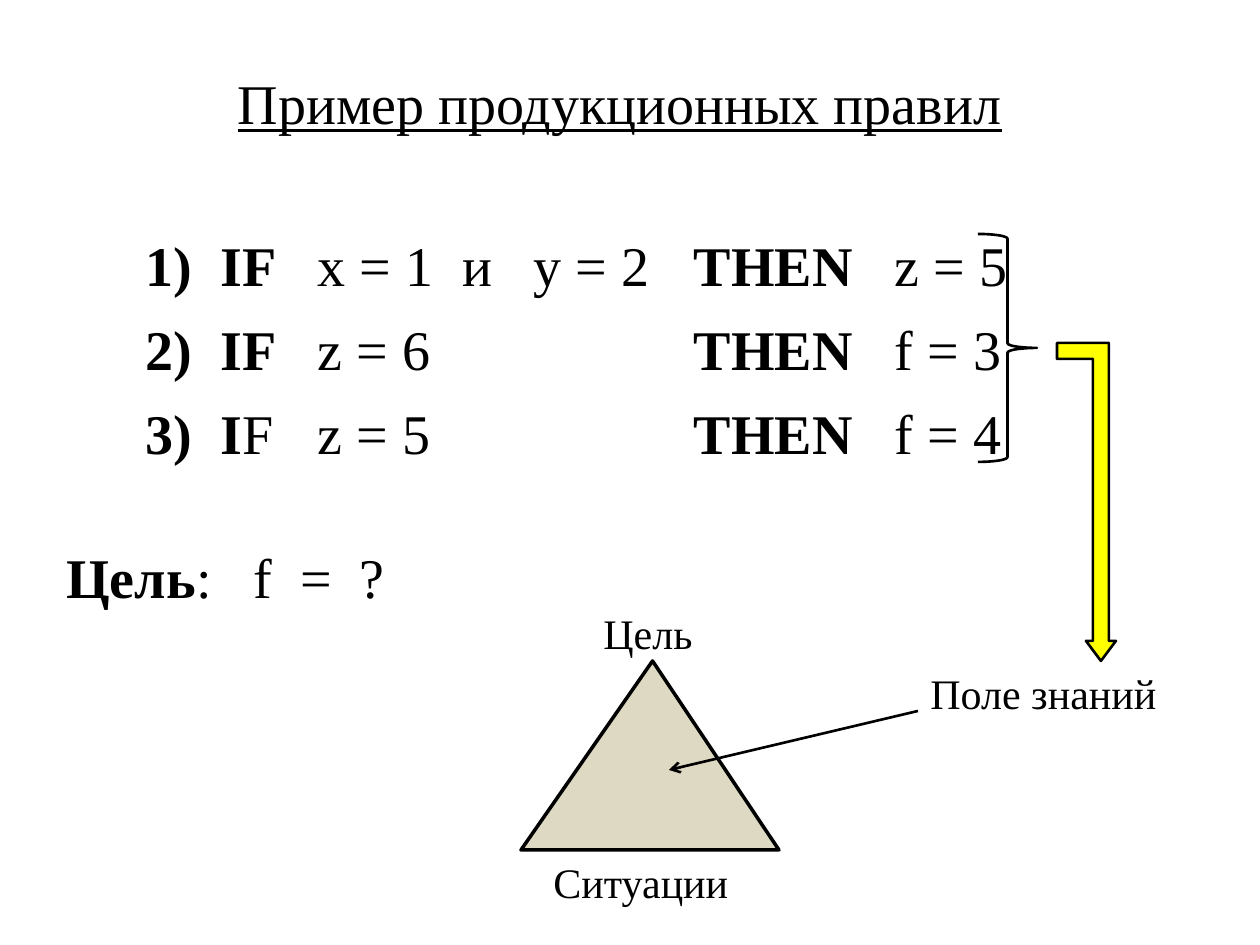
from lxml.etree import SubElement
from pptx import Presentation
from pptx.dml.color import RGBColor
from pptx.enum.shapes import MSO_CONNECTOR, MSO_SHAPE
from pptx.enum.text import MSO_ANCHOR, PP_ALIGN
from pptx.oxml.ns import qn
from pptx.util import Pt

PX = 914400 // 126
BLACK = "000000"
rgb = RGBColor.from_string


def add_text(p, text, size=32, bold=False, underline=False):
    r = p.add_run()
    r.text = text
    r.font.name = "Times New Roman"
    r.font.size = Pt(size)
    r.font.bold = bold
    r.font.underline = underline
    r.font.color.rgb = rgb(BLACK)


def style(s, width, fill=None):
    s.shadow.inherit = False
    s.line.color.rgb = rgb(BLACK)
    s.line.width = Pt(width)
    if fill:
        s.fill.solid()
        s.fill.fore_color.rgb = rgb(fill)
    else:
        s.fill.background()


prs = Presentation()
prs.slide_width, prs.slide_height = 1260 * PX, 945 * PX
slide = prs.slides.add_slide(prs.slide_layouts[5])

# Title
title = slide.shapes.title
title.left, title.top, title.width, title.height = 54 * PX, 68 * PX, 1132 * PX, 65 * PX
tf = title.text_frame
tf.margin_top = tf.margin_bottom = 0
tf.vertical_anchor = MSO_ANCHOR.TOP
tf.paragraphs[0].alignment = PP_ALIGN.CENTER
add_text(tf.paragraphs[0], "Пример продукционных правил", underline=True)

# Numbered rules, with columns held by tab stops
RULES_LEFT = 146
columns = [221, 318, 463, 534, 694, 895]
rules = [
    [("\tIF", True), ("\tx = 1\tи\ty = 2", False), ("\tTHEN", True), ("\tz = 5", False)],
    [("\tIF", True), ("\tz = 6", False), ("\tTHEN", True), ("\tf = 3", False)],
    [("\tI", True), ("F\tz = 5", False), ("\tTHEN", True), ("\tf = 4", False)],
]
box = slide.shapes.add_textbox(RULES_LEFT * PX, 231 * PX, 900 * PX, 230 * PX)
tf = box.text_frame
tf.word_wrap = True
tf.margin_left = tf.margin_right = tf.margin_top = tf.margin_bottom = 0
for i, runs in enumerate(rules):
    p = tf.add_paragraph() if i else tf.paragraphs[0]
    # Rules with one condition skip the second-condition columns
    stops = columns if i == 0 else columns[:2] + columns[4:]
    pPr = p._p.get_or_add_pPr()
    pPr.set("marL", "0")
    pPr.set("indent", "0")
    SubElement(pPr, qn("a:buAutoNum"), type="arabicParenR")
    tabs = SubElement(pPr, qn("a:tabLst"))
    for x in stops:
        SubElement(tabs, qn("a:tab"), pos=str((x - RULES_LEFT) * PX), algn="l")
    if i:
        p.space_before = Pt(9.5)
    for text, bold in runs:
        add_text(p, text, bold=bold)

# Goal
box = slide.shapes.add_textbox(54 * PX, 536 * PX, 500 * PX, 77 * PX)
p = box.text_frame.paragraphs[0]
add_text(p, "Цель", bold=True)
add_text(p, ":   f  =  ?")

# Triangle
s = slide.shapes.add_shape(MSO_SHAPE.ISOSCELES_TRIANGLE, 521 * PX, 661 * PX, 258 * PX, 189 * PX)
s.adjustments[0] = 0.51
style(s, 2, "DDD9C3")

# Labels
for text, x, y, w in [("Цель", 591, 601, 118), ("Ситуации", 541, 850, 218),
                      ("Поле знаний", 918, 661, 258)]:
    box = slide.shapes.add_textbox(x * PX, y * PX, w * PX, 63 * PX)
    add_text(box.text_frame.paragraphs[0], text, size=24)

# Arrow from the knowledge field to the triangle
s = slide.shapes.add_connector(MSO_CONNECTOR.STRAIGHT, 918 * PX, 711 * PX, 669 * PX, 770 * PX)
s.line.color.rgb = rgb(BLACK)
s.line.width = Pt(1.5)
SubElement(s.line._get_or_add_ln(), qn("a:tailEnd"), type="arrow")
SubElement(s._element.spPr, qn("a:effectLst"))

# Brace around the rules
s = slide.shapes.add_shape(MSO_SHAPE.RIGHT_BRACE, 978 * PX, 234 * PX, 59 * PX, 228 * PX)
s.adjustments[0] = 0.08
style(s, 1.5)

# Bent arrow from the brace to the knowledge field
bend = [(1057, 359), (1093, 359), (1093, 641), (1086, 641), (1101, 661),
        (1116, 641), (1109, 641), (1109, 343), (1057, 343)]
builder = slide.shapes.build_freeform(*bend[0], scale=PX)
builder.add_line_segments(bend[1:], close=True)
style(builder.convert_to_shape(), 1.5, "FFFF00")

prs.save("out.pptx")
